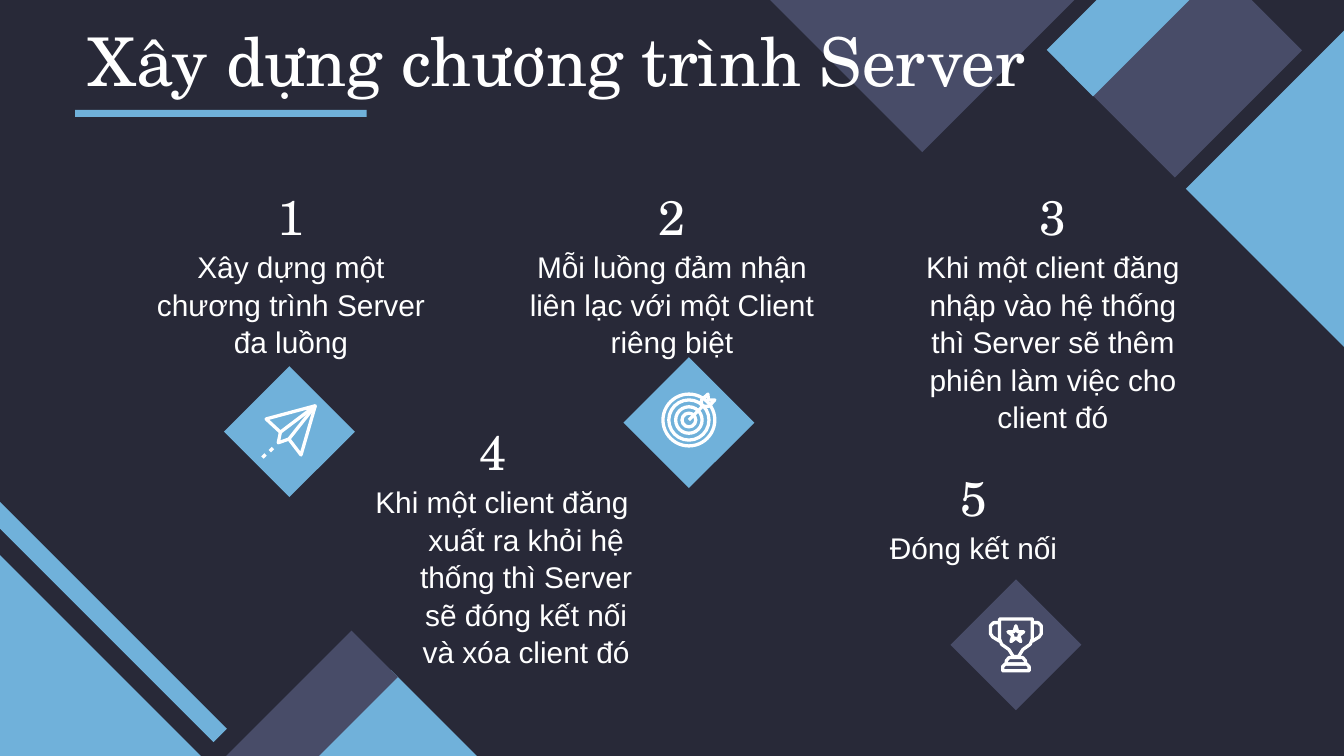
"""Build the slide on the five steps of the server program."""
from pptx import Presentation
from pptx import util as u
from pptx.dml.color import RGBColor
from pptx.enum import shapes, text

COLORS = {"bg": "282938", "blue": "70B1DA", "purple": "484C68", "white": "FFFFFF"}
SERIF, SANS = "TeX Gyre Schola", "Arial"
TITLE = "Xây dựng chương trình Server"

STEPS = [
    (2.54, 3.33, "Xây dựng một chương trình Server đa luồng"),
    (9.74, 3.33, "Mỗi luồng đảm nhận liên lạc với một Client riêng biệt"),
    (16.94, 3.33, "Khi một client đăng nhập vào hệ thống thì Server sẽ thêm "
                  "phiên làm việc cho client đó"),
    (6.35, 7.77, "Khi một client đăng xuất ra khỏi hệ thống thì Server sẽ đóng "
                 "kết nối và xóa client đó"),
    (15.44, 8.64, "Đóng kết nối"),
]
HANGING_STEP = 4

BANDS = [
    (21.39, -0.38, 2.36, 3.4, 45, "purple"),
    (20.8, -1.52, 1.24, 3.4, 45, "blue"),
    (14.27, -4.75, 6.32, 6.32, 45, "purple"),
    (23.72, 0.41, 6.32, 6.32, 45, "blue"),
    (5.84, 13, 2.36, 3.4, 45, "blue"),
    (5.26, 11.86, 1.24, 3.4, 45, "purple"),
    (-3.81, 11.15, 6.32, 6.32, 315, "blue"),
    (1.19, 7.16, 0.36, 7.9, 315, "blue"),
]
UNDERLINE = (1.42, 2.08, 5.51, 0.13, 0, "blue")

DIAMOND = 1.75
PLANE, TARGET, TROPHY = (5.47, 8.16), (13.02, 7.99), (19.2, 12.19)
DIAMONDS = [(PLANE, "blue"), (TARGET, "blue"), (TROPHY, "purple")]
RING_RADII = [0.49, 0.38, 0.25, 0.13]

HANDLE = [(31, -42), (42, -42), (48, -36), (48, -21), (44, -15), (31, -7)]
CUP_SIDE = [(31, -49), (31, -11), (27, -1), (13, 9), (5, 22)]
COLLAR_SIDE = [(18, 36), (18, 30), (13, 24)]
BASE_SIDE = [(25, 49), (25, 41), (20, 36)]


def mirrored(side):
    return [(-x, y) for x, y in reversed(side)]


STROKES = [
    (PLANE, [(49, -49), (-44, -24), (-17, 1)], True),
    (PLANE, [(-17, 1), (-21, 21), (-1, 14), (49, -49)], False),
    (PLANE, [(-1, 14), (22, 44), (49, -49)], False),
    (PLANE, [(-51, 49), (-45, 43)], False),
    (PLANE, [(-37, 37), (-31, 31)], False),
    (TARGET, [(0, -5), (29, -34)], False),
    (TARGET, [(24, -31), (24, -43), (36, -54), (37, -43), (49, -43), (38, -31)], True),
    (TROPHY, HANDLE, False),
    (TROPHY, mirrored(HANDLE), False),
] + [(TROPHY, side + mirrored(side), True) for side in (CUP_SIDE, COLLAR_SIDE, BASE_SIDE)]


def rgb(name):
    return RGBColor.from_string(COLORS[name])


def add_rect(s, x, y, w, h, rotation, color):
    sp = s.shapes.add_shape(shapes.MSO_SHAPE.RECTANGLE, u.Cm(x), u.Cm(y), u.Cm(w), u.Cm(h))
    sp.rotation = rotation
    sp.shadow.inherit = False
    sp.fill.solid()
    sp.fill.fore_color.rgb = rgb(color)
    sp.line.fill.background()


def outline(sp):
    sp.shadow.inherit = False
    sp.fill.background()
    sp.line.color.rgb = rgb("white")
    sp.line.width = u.Pt(1.75)


def add_outlined(s, kind, cx, cy, radius):
    size = u.Cm(2 * radius)
    outline(s.shapes.add_shape(kind, u.Cm(cx - radius), u.Cm(cy - radius), size, size))


def add_stroke(s, center, points, closed):
    builder = s.shapes.build_freeform(*points[0], scale=u.Cm(0.01))
    builder.add_line_segments(points[1:], close=closed)
    outline(builder.convert_to_shape(*[u.Cm(c) for c in center]))


def set_text(sp, words, size, font, align, anchor):
    tf = sp.text_frame
    tf.word_wrap = True
    tf.auto_size = text.MSO_AUTO_SIZE.NONE
    tf.vertical_anchor = anchor
    tf.margin_left = tf.margin_right = tf.margin_top = tf.margin_bottom = u.Cm(0.25)
    p = tf.paragraphs[0]
    p.text = words
    p.alignment = align
    p.font.size, p.font.name, p.font.color.rgb = u.Pt(size), font, rgb("white")
    return p


def add_label(s, x, y, h, *style):
    sp = s.shapes.add_textbox(u.Cm(x), u.Cm(y), u.Cm(5.92), u.Cm(h))
    return set_text(sp, *style)


def add_step(s, number, x, y, words):
    center, top, middle = text.PP_ALIGN.CENTER, text.MSO_ANCHOR.TOP, text.MSO_ANCHOR.MIDDLE
    add_label(s, x, y, 1.5, str(number), 26, SERIF, center, middle)
    p = add_label(s, x, y + 1.09, 1.6, words, 16, SANS, center, top)
    p.line_spacing = 1.05
    if number == HANGING_STEP:
        pPr = p._p.get_or_add_pPr()
        pPr.set("marL", str(u.Cm(1.27)))
        pPr.set("indent", str(u.Cm(-0.91)))


def main():
    prs = Presentation()
    prs.slide_width, prs.slide_height = u.Cm(25.4), u.Cm(14.29)
    s = prs.slides.add_slide(prs.slide_layouts[5])
    s.background.fill.solid()
    s.background.fill.fore_color.rgb = rgb("bg")

    for band in BANDS:
        add_rect(s, *band)

    title = s.shapes.title
    title.element.getparent().append(title.element)
    title.left, title.top, title.width, title.height = [
        u.Cm(v) for v in (1.42, 0.38, 21.44, 1.5)]
    set_text(title, TITLE, 36, SERIF, text.PP_ALIGN.LEFT, text.MSO_ANCHOR.MIDDLE)
    add_rect(s, *UNDERLINE)

    for number, step in enumerate(STEPS, 1):
        add_step(s, number, *step)

    for (cx, cy), color in DIAMONDS:
        add_rect(s, cx - DIAMOND / 2, cy - DIAMOND / 2, DIAMOND, DIAMOND, 45, color)
    for radius in RING_RADII:
        add_outlined(s, shapes.MSO_SHAPE.OVAL, TARGET[0], TARGET[1] - 0.05, radius)
    add_outlined(s, shapes.MSO_SHAPE.STAR_5_POINT, TROPHY[0], TROPHY[1] - 0.21, 0.15)
    for stroke in STROKES:
        add_stroke(s, *stroke)

    prs.save("out.pptx")


if __name__ == "__main__":
    main()
